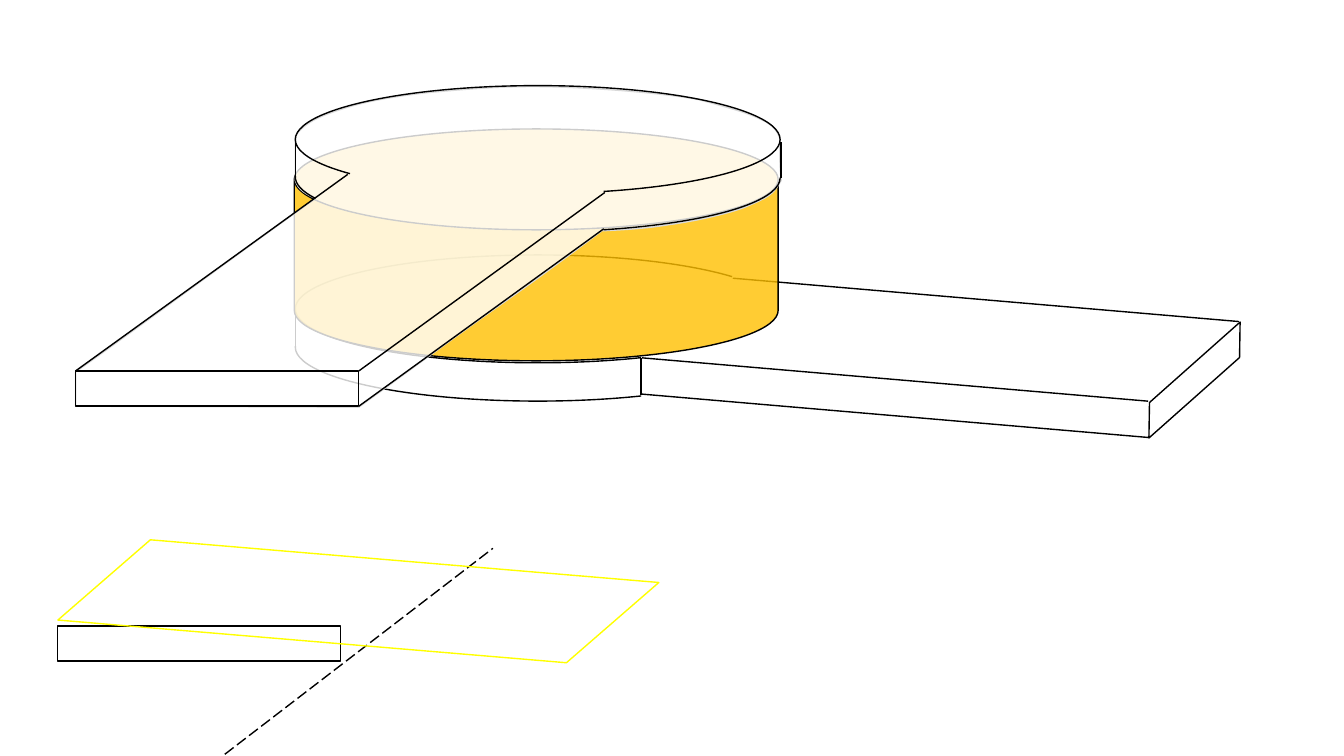
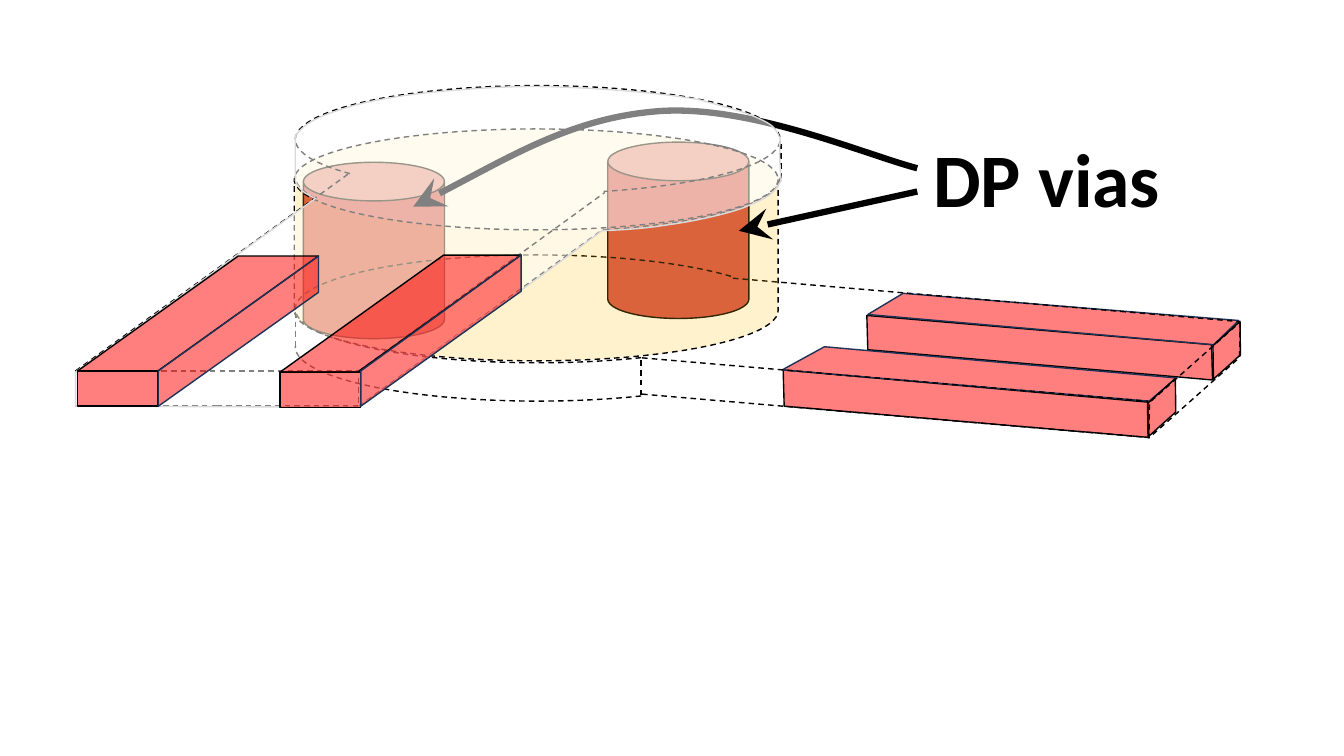
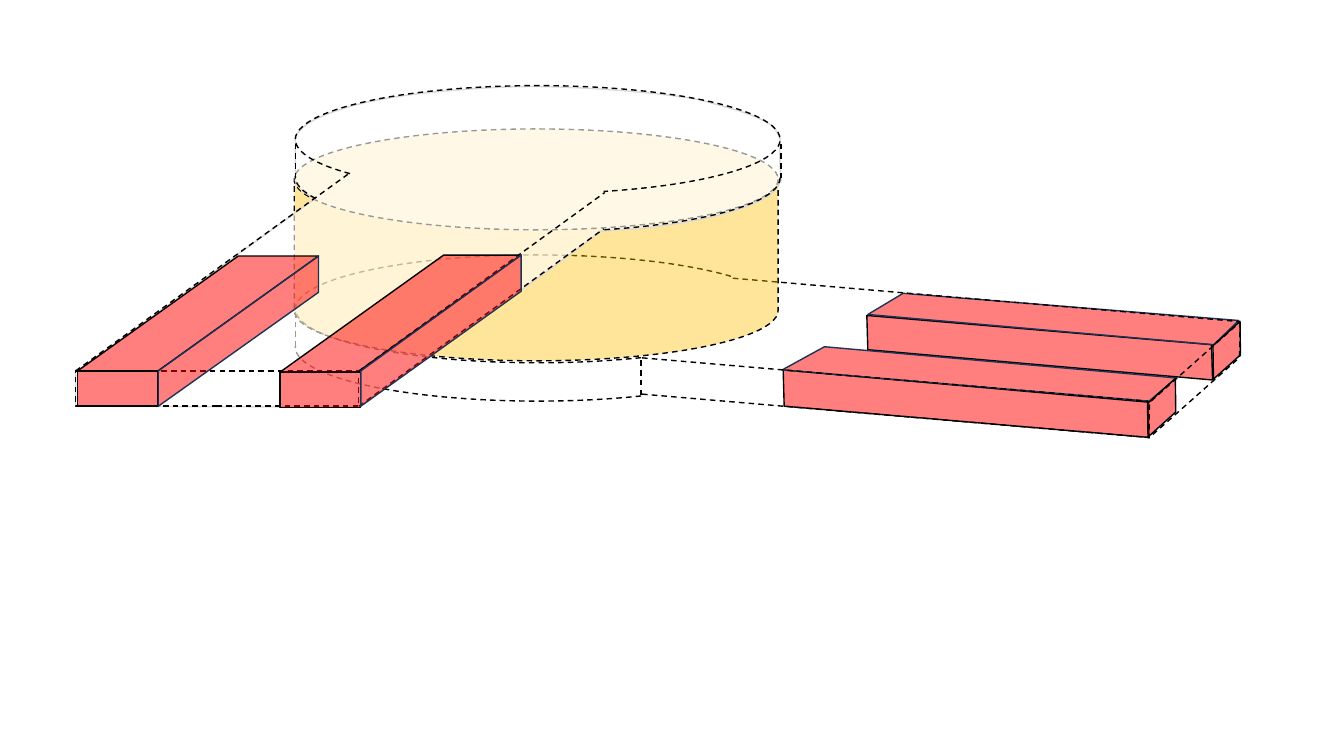
"""Draw a two-arm cylindrical via in three build-up slides."""
from lxml.etree import SubElement
from pptx import Presentation
from pptx.dml.color import RGBColor
from pptx.enum.dml import MSO_LINE as DASH
from pptx.enum.shapes import MSO_CONNECTOR, MSO_SHAPE as SHAPE
from pptx.enum.text import MSO_ANCHOR, MSO_AUTO_SIZE
from pptx.oxml.ns import qn
from pptx.util import Emu, Pt

PX = 9144
SLIDE_SIZE = (Emu(12192000), Emu(6858000))

BLACK = RGBColor(0x00, 0x00, 0x00)
WHITE = RGBColor(0xFF, 0xFF, 0xFF)
GOLD = RGBColor(0xFF, 0xC0, 0x00)
DARK_RED = RGBColor(0xC0, 0x00, 0x00)
RED = RGBColor(0xFF, 0x00, 0x00)
NAVY = RGBColor(0x1E, 0x32, 0x56)
GREY = RGBColor(0xD9, 0xD9, 0xD9)
YELLOW = RGBColor(0xFF, 0xFF, 0x00)

BARS = dict(fill=RED, alpha=50)
LOWER_ARM = {
    "lines": [(727, 276, 1229, 319), (637, 355, 1139, 398), (293, 344, 293, 308),
              (636, 392, 636, 355), (637, 391, 1139, 434)],
    "shapes": [(SHAPE.ARC, (293, 253, 481, 107), (15.142, 210.353), 0),
               (SHAPE.ARC, (293, 291, 481, 107), (15.142, 108.158), 0),
               (SHAPE.PARALLELOGRAM, (1113, 364, 144, 26), (0.916,), 138.4)],
}
UPPER_ARM = {
    "lines": [(75, 368, 345, 173), (356, 368, 600, 191), (356, 403, 599, 227),
              (775, 177, 775, 141), (293, 177, 293, 140)],
    "shapes": [(SHAPE.RECTANGLE, (75, 368, 281, 35), (), 0),
               (SHAPE.ARC, (293, 85, 481, 107), (101.82, 22.931), 0),
               (SHAPE.ARC, (293, 123, 481, 107), (215.98, 22.931), 0),
               (SHAPE.ARC, (293, 122, 481, 107), (104.684, 108.11), 0)],
}
GLASS = [
    [(75, 403)],
    [(75, 390), (75, 384), (75, 369)],
    [(136, 326), (259, 235), (313, 197)],
    [(305, 193), (296, 189), (293, 179)],
    [(293, 161), (293, 153), (293, 135)],
    [(303, 121), (318, 115), (340, 108)],
    [(361, 101), (389, 96), (423, 92)],
    [(457, 89), (497, 85), (543, 86)],
    [(588, 87), (657, 92), (694, 99)],
    [(727, 108), (742, 112), (756, 119)],
    [(769, 125), (771, 130), (774, 138)],
    [(773, 152), (774, 168), (775, 179)],
    [(767, 193), (764, 195), (738, 206)],
    [(719, 213), (686, 220), (663, 223)],
    [(639, 227), (617, 228), (597, 229)],
    [(573, 247), (537, 274), (497, 302)],
    [(457, 330), (410, 365), (356, 404)],
]
POINTER = [[(910, 167)],
           [(854, 152), (737, 101), (646, 111)],
           [(564, 119), (487, 167), (410, 205)]]
RIGHT_FRONTS = [
    [(1203, 377), (1202, 342), (860, 313), (861, 347)],
    [(1140, 434), (1139, 399), (777, 367), (778, 403)],
]
RIGHT_TOPS = [
    [(1204, 342), (861, 312), (896, 291), (1229, 318)],
    [(1140, 398), (776, 367), (818, 344), (1167, 375)],
]
RIGHT_ENDS = [(1123, 392, 59, 25), (1188, 335, 58, 25)]
LEFT_BARS = [(77, 254, 368), (278, 253, 369)]
VIAS = [(603, 141, 140, 175), (301, 161, 140, 175)]


def emu(values):
    return [Emu(v * PX) for v in values]


def paint(sp, fill=None, alpha=100, line=BLACK, width=1, dash=None, arrow=False):
    if hasattr(sp, "fill"):
        if fill is None:
            sp.fill.background()
        else:
            sp.fill.solid()
            sp.fill.fore_color.rgb = fill
            color = sp.element.spPr.find(qn("a:solidFill"))[0]
            SubElement(color, qn("a:alpha"), val=str(alpha * 1000))
        sp.shadow.inherit = False
    sp.line.color.rgb = line
    sp.line.width = Pt(width)
    if dash is not None:
        sp.line.dash_style = dash
    spPr = sp.element.spPr
    if arrow:
        SubElement(spPr.find(qn("a:ln")), qn("a:tailEnd"),
                   type="stealth", w="lg", len="lg")
    if spPr.find(qn("a:effectLst")) is None:
        SubElement(spPr, qn("a:effectLst"))


def preset(shapes, kind, box, adjust=(), rotation=0, **look):
    sp = shapes.add_shape(kind, *emu(box))
    for i, value in enumerate(adjust):
        sp.adjustments[i] = value
    sp.rotation = rotation
    paint(sp, **look)


def segment(shapes, ends, **look):
    paint(shapes.add_connector(MSO_CONNECTOR.STRAIGHT, *emu(ends)), **look)


def freeform(shapes, points, close):
    start, *rest = [emu(point) for point in points]
    builder = shapes.build_freeform(*start, scale=1.0)
    builder.add_line_segments(rest, close=close)
    return builder.convert_to_shape()


def polygon(shapes, points, **look):
    paint(freeform(shapes, points, True), **look)


def curve(shapes, pieces, close, **look):
    sp = freeform(shapes, [piece[-1] for piece in pieces], close)
    edges = list(sp.element.spPr.iter(qn("a:lnTo")))
    for edge, piece in zip(edges, pieces[1:]):
        edge.tag = qn("a:cubicBezTo")
        for child in list(edge):
            edge.remove(child)
        for x, y in (emu(point) for point in piece):
            SubElement(edge, qn("a:pt"), x=str(x - sp.left), y=str(y - sp.top))
    paint(sp, **look)


def arm(s, parts, dash=None):
    shapes = s.shapes.add_group_shape().shapes
    for ends in parts["lines"]:
        segment(shapes, ends, dash=dash)
    for kind, box, adjust, rotation in parts["shapes"]:
        preset(shapes, kind, box, adjust, rotation, dash=dash)


def cylinder(s, alpha, dash=None):
    preset(s.shapes, SHAPE.CAN, (292, 128, 480, 230), (0.435,),
           fill=GOLD, alpha=alpha, dash=dash)


def glass(s, alpha):
    curve(s.shapes, GLASS, True, fill=WHITE, alpha=alpha, line=GREY)


def right_bars(s):
    shapes = s.shapes.add_group_shape().shapes
    for points in RIGHT_FRONTS:
        polygon(shapes, points, **BARS)
    for points in RIGHT_TOPS:
        polygon(shapes, points, line=NAVY, **BARS)
    for box in RIGHT_ENDS:
        preset(shapes, SHAPE.PARALLELOGRAM, box, (0.876,), 318, **BARS)


def left_bars(s):
    shapes = s.shapes.add_group_shape().shapes
    for x, top, bottom in LEFT_BARS:
        front, back = x + 80, x + 239
        preset(shapes, SHAPE.RECTANGLE, (x, bottom, 80, 35), **BARS)
        preset(shapes, SHAPE.PARALLELOGRAM, (x, top, 239, bottom - top),
               (1.398,), 180, **BARS)
        polygon(shapes, [(front, 368), (back, top), (back, top + 36), (front, 403)],
                line=NAVY, **BARS)


def vias(s):
    for box in VIAS:
        preset(s.shapes, SHAPE.CAN, box, (0.274,), fill=DARK_RED, alpha=70)


def guides(s):
    preset(s.shapes, SHAPE.RECTANGLE, (57, 621, 281, 35))
    preset(s.shapes, SHAPE.PARALLELOGRAM, (60, 553, 591, 87), (0.974,), 184.8, line=YELLOW)


def axis_line(s):
    segment(s.shapes, (187, 776, 489, 544), dash=DASH.LONG_DASH)


def callout(s):
    tf = s.shapes.add_textbox(*emu((926, 130, 227, 91))).text_frame
    frame = dict(margin_left=0, margin_right=0, margin_top=0, margin_bottom=0,
                 word_wrap=False, vertical_anchor=MSO_ANCHOR.MIDDLE,
                 auto_size=MSO_AUTO_SIZE.SHAPE_TO_FIT_TEXT)
    for name, value in frame.items():
        setattr(tf, name, value)
    r = tf.paragraphs[0].add_run()
    r.text = "DP vias"
    for name, value in dict(name="Calibri", size=Pt(54), bold=True).items():
        setattr(r.font, name, value)
    r.font.color.rgb = BLACK
    segment(s.shapes, (910, 190, 733, 229), width=4.5, arrow=True)
    curve(s.shapes, POINTER, False, width=4.5, arrow=True)


SLIDES = [
    [(arm, LOWER_ARM), (cylinder, 80), (glass, 80), (axis_line,),
     (arm, UPPER_ARM), (guides,)],
    [(vias,), (right_bars,), (arm, LOWER_ARM, DASH.DASH), (cylinder, 20, DASH.DASH),
     (arm, UPPER_ARM, DASH.DASH), (callout,), (glass, 50), (left_bars,)],
    [(right_bars,), (arm, LOWER_ARM, DASH.DASH), (cylinder, 40, DASH.DASH),
     (glass, 60), (arm, UPPER_ARM, DASH.DASH), (left_bars,)],
]


def main():
    prs = Presentation()
    prs.slide_width, prs.slide_height = SLIDE_SIZE
    for layers in SLIDES:
        s = prs.slides.add_slide(prs.slide_layouts[6])
        for draw, *values in layers:
            draw(s, *values)
    prs.save("out.pptx")


if __name__ == "__main__":
    main()
